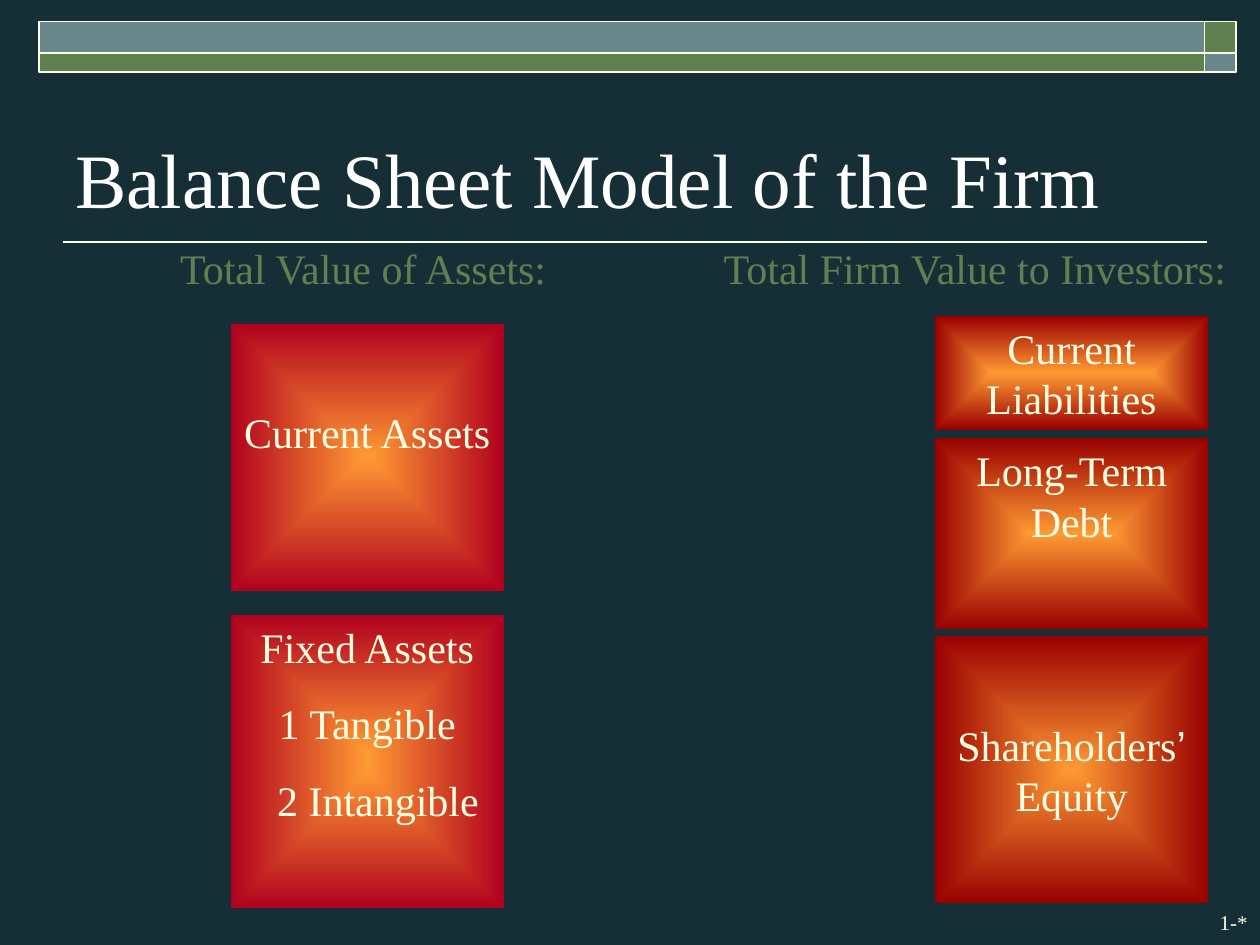
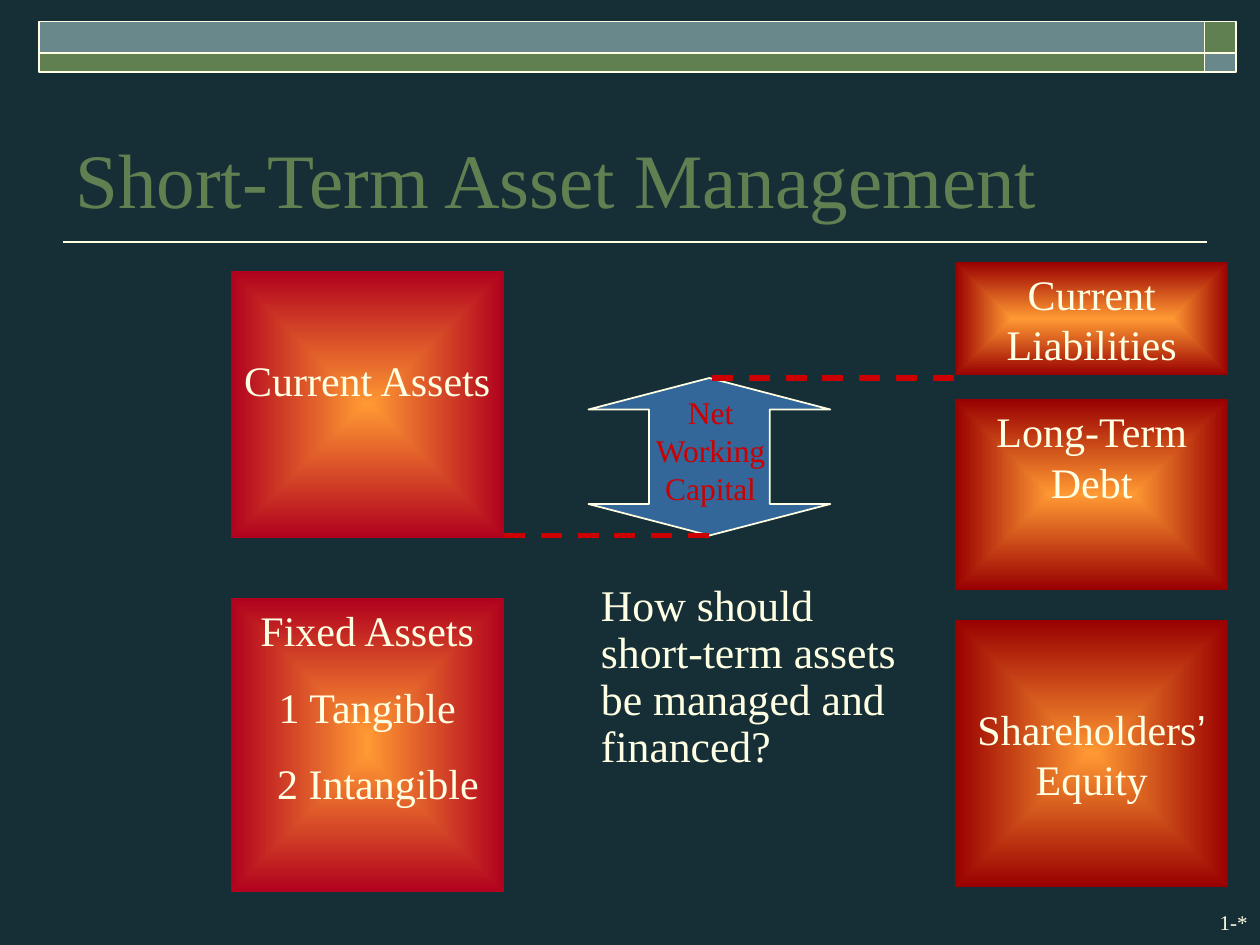
from lxml import etree
from pptx import Presentation
from pptx.dml.color import RGBColor
from pptx.enum.dml import MSO_LINE_DASH_STYLE as Dash
from pptx.enum.shapes import MSO_CONNECTOR as Connector, MSO_SHAPE as Shape
from pptx.enum.text import MSO_ANCHOR as Anchor, PP_ALIGN as Align
from pptx.oxml.ns import qn
from pptx.util import Inches, Pt

COLORS = {
    "background": "162E36", "cream": "FFFFE3", "white": "FFFFFF",
    "green": "618052", "teal": "69888B", "blue": "336699", "red": "CC0000",
    "glow": "FF9933", "crimson": "B1011E", "maroon": "990000",
}
SERIF = "Times New Roman"
BLOCK_WIDTH = 2.17
ASSETS_LEFT = 1.83
LOWERED = 0.66
ASSETS = {
    "Current Assets": (2.12, LOWERED, [["Current Assets"]]),
    "Fixed Assets": (2.33, 0.05, [["Fixed Assets"], ["1 Tangible"], ["2 Intangible"]]),
}
CLAIMS = {
    "Current Liabilities": (0.9, 0.05, [["Current Liabilities"]]),
    "Long-Term Debt": (1.51, 0.05, [["Long-Term Debt"]]),
    "Equity": (2.12, LOWERED, [["Shareholders", "’", " Equity"]]),
}


def rgb(name):
    return RGBColor.from_string(COLORS[name])


def apply_format(target, values):
    for name, value in values.items():
        setattr(target, name, value)


def write_text(box, paragraphs, size, color, align=Align.LEFT, anchor=Anchor.TOP,
               top=0.05, left=0.1, line_spacing=None, gap=0):
    frame = box.text_frame
    apply_format(frame, {
        "word_wrap": True, "vertical_anchor": anchor,
        "margin_left": Inches(left), "margin_right": Inches(0.1),
        "margin_top": Inches(top), "margin_bottom": Inches(0.05),
    })
    for index, spans in enumerate(paragraphs):
        para = frame.add_paragraph() if index else frame.paragraphs[0]
        apply_format(para, {"alignment": align, "line_spacing": line_spacing,
                            "space_before": Pt(gap if index else 0)})
        for text in spans:
            span = para.add_run()
            span.text = text
            apply_format(span.font, {"size": Pt(size),
                                     "name": "Arial" if text == "’" else SERIF})
            span.font.color.rgb = rgb(color)
    return frame


def add_label(page, area, text, size, color, **options):
    box = page.shapes.add_textbox(*map(Inches, area))
    write_text(box, [[text]], size, color, **options)


def add_outlined(page, kind, area, color):
    shape = page.shapes.add_shape(kind, *map(Inches, area))
    shape.shadow.inherit = False
    shape.fill.solid()
    shape.fill.fore_color.rgb = rgb(color)
    shape.line.color.rgb = rgb("cream")
    shape.line.width = Pt(1)
    return shape


def add_double_arrow(page, area, color, shaft, head):
    arrow = add_outlined(page, Shape.UP_DOWN_ARROW, area, color)
    guides = arrow._element.spPr.find(qn("a:prstGeom")).find(qn("a:avLst"))
    guides.clear()
    for name, share in (("adj1", shaft), ("adj2", head)):
        etree.SubElement(guides, qn("a:gd"),
                         {"name": name, "fmla": f"val {round(share * 100000)}"})


def add_rule(page, start, end, color, width, dash=None):
    rule = page.shapes.add_connector(Connector.STRAIGHT, *map(Inches, start + end))
    rule.line.color.rgb = rgb(color)
    apply_format(rule.line, {"width": Pt(width), "dash_style": dash})
    etree.SubElement(rule._element.spPr, qn("a:effectLst"))


def fill_from_center(shape, edge):
    shape.fill.gradient()
    for stop, color in zip(shape.fill.gradient_stops, ("glow", edge)):
        stop.color.rgb = rgb(color)
    gradient = shape._element.spPr.find(qn("a:gradFill"))
    gradient.remove(gradient.find(qn("a:lin")))
    shade = etree.SubElement(gradient, qn("a:path"), {"path": "rect"})
    etree.SubElement(shade, qn("a:fillToRect"), dict.fromkeys("ltrb", "50000"))


def add_blocks(page, left, tops, blocks, edge):
    for y, (height, text_top, paragraphs) in zip(tops, blocks.values()):
        area = (left, y, BLOCK_WIDTH, height)
        block = page.shapes.add_shape(Shape.RECTANGLE, *map(Inches, area))
        block.shadow.inherit = False
        block.line.fill.background()
        fill_from_center(block, edge)
        frame = write_text(block, paragraphs, 24, "cream", align=Align.CENTER,
                           top=text_top, gap=15)
        if len(paragraphs) > 1:
            frame.paragraphs[-1]._p.get_or_add_pPr().set("marL", str(Inches(0.17)))


def add_page(deck, title, color):
    page = deck.slides.add_slide(deck.slide_layouts[6])
    page.background.fill.solid()
    page.background.fill.fore_color.rgb = rgb("background")
    add_rule(page, (9.58, 1.92), (0.5, 1.92), "cream", 1)
    for top, height, band, corner in ((0.17, 0.25, "teal", "green"),
                                      (0.42, 0.15, "green", "teal")):
        add_outlined(page, Shape.RECTANGLE, (9.56, top, 0.25, height), corner)
        add_outlined(page, Shape.RECTANGLE, (0.31, top, 9.25, height), band)
    add_label(page, (9.17, 7.17, 0.83, 0.3), "1-*", 12, "cream", align=Align.RIGHT)
    add_label(page, (0.5, 0.66, 9, 1.17), title, 44, color, anchor=Anchor.BOTTOM)
    return page


def add_balance_sheet(deck):
    page = add_page(deck, "Balance Sheet Model of the Firm", "white")
    add_blocks(page, ASSETS_LEFT, (2.57, 4.88), ASSETS, "crimson")
    add_blocks(page, 7.42, (2.51, 3.48, 5.05), CLAIMS, "maroon")
    heading = {"size": 24, "color": "green", "left": 0.6, "line_spacing": 0.9}
    add_label(page, (0.83, 1.92, 4.5, 0.46), "Total Value of Assets:", **heading)
    add_label(page, (4.25, 1.92, 5.58, 0.46), "Total Firm Value to Investors:",
              align=Align.RIGHT, **heading)


def add_short_term(deck):
    page = add_page(deck, "Short-Term Asset Management", "green")
    add_double_arrow(page, (4.67, 3, 1.92, 1.25), "blue", shaft=0.5, head=0.2)
    add_rule(page, (5.65, 3), (7.67, 3), "red", 3, Dash.DASH)
    add_rule(page, (4, 4.25), (5.65, 4.25), "red", 3, Dash.DASH)
    add_label(page, (4.17, 4.58, 3.17, 2.24),
              "How should short-term assets be managed and financed?",
              25, "cream", left=0.6, line_spacing=0.9)
    add_label(page, (4.94, 3.07, 1.4, 1), "Net Working Capital", 18, "red",
              align=Align.CENTER)
    add_blocks(page, 7.58, (2.08, 3.17, 4.92), CLAIMS, "maroon")
    add_blocks(page, ASSETS_LEFT, (2.15, 4.75), ASSETS, "crimson")


def main():
    deck = Presentation()
    apply_format(deck, {"slide_width": Inches(10), "slide_height": Inches(7.5)})
    add_balance_sheet(deck)
    add_short_term(deck)
    deck.save("out.pptx")


if __name__ == "__main__":
    main()
